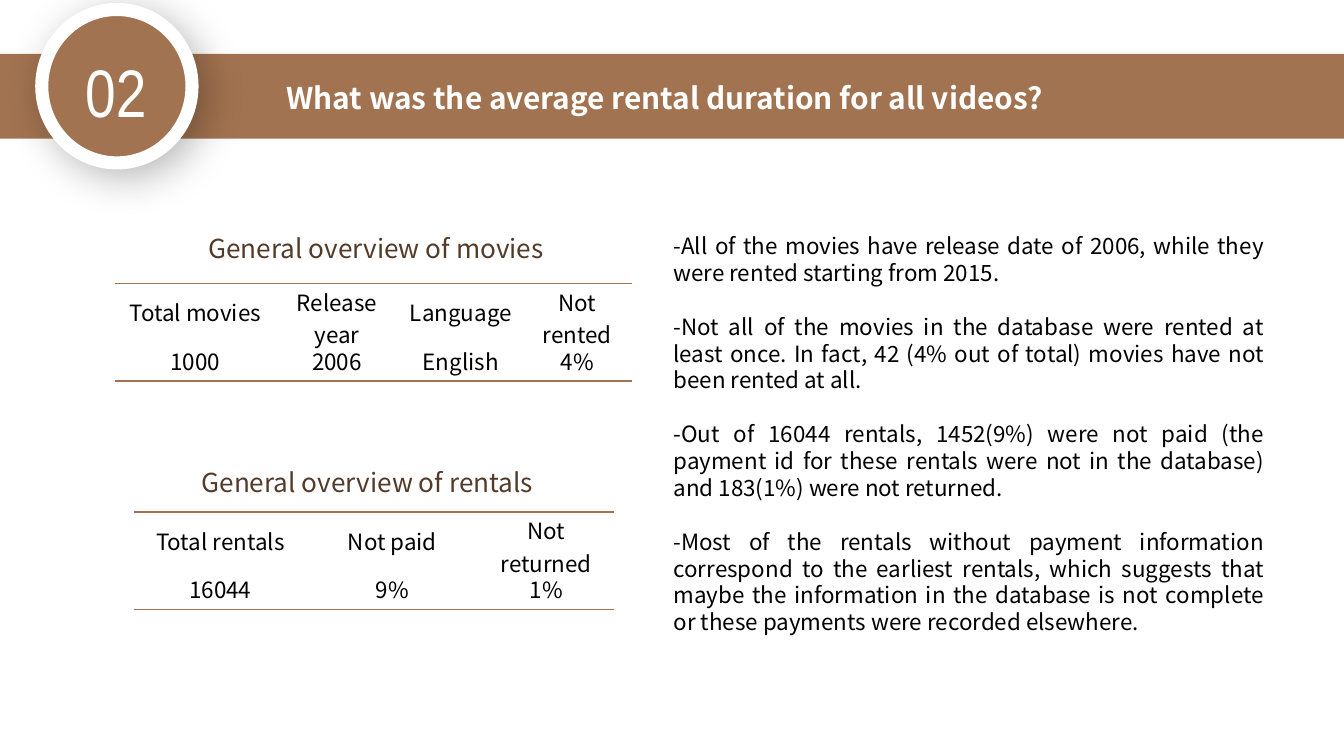
"""Build the slide on average rental duration with two overview tables and findings."""
from lxml import etree
from pptx import Presentation, util as u
from pptx.dml.color import RGBColor
from pptx.enum import shapes, text
from pptx.oxml import parse_xml
from pptx.oxml.ns import nsdecls, qn

BROWN = RGBColor(0xA2, 0x73, 0x50)
DARK_BROWN = RGBColor(0x54, 0x3B, 0x29)
WHITE = RGBColor(0xFF, 0xFF, 0xFF)
BLACK = RGBColor(0, 0, 0)
SANS = "Noto Sans CJK SC"
NO_GRID_STYLE = "{2D5ABB26-0587-4C30-8999-92F81FD0307C}"


def write(frame, *paragraphs, size=12, color=BLACK, font=SANS, bold=False,
          align=text.PP_ALIGN.CENTER, spacing=None, gap=0):
    frame.word_wrap = True
    for i, words in enumerate(paragraphs):
        paragraph = frame.paragraphs[0] if i == 0 else frame.add_paragraph()
        paragraph.alignment = align
        paragraph.line_spacing = spacing
        paragraph.space_before = u.Pt(gap if i else 0)
        run = paragraph.add_run()
        run.text = words
        run.font.size = u.Pt(size)
        run.font.bold = bold
        run.font.color.rgb = color
        run.font.name = font
        for script in ("a:ea", "a:cs"):
            etree.SubElement(run.font._element, qn(script), typeface=font)


def add_box(left, top, width, height, anchor=text.MSO_ANCHOR.MIDDLE):
    frame = slide.shapes.add_textbox(u.Cm(left), u.Cm(top), u.Cm(width), u.Cm(height)).text_frame
    frame.margin_left = frame.margin_right = u.Cm(0.18)
    frame.margin_top = frame.margin_bottom = u.Cm(0.1)
    frame.vertical_anchor = anchor
    return frame


deck = Presentation()
deck.slide_width, deck.slide_height = u.Cm(25.4), u.Cm(14.29)
slide = deck.slides.add_slide(deck.slide_layouts[5])

banner = slide.shapes.add_shape(shapes.MSO_SHAPE.RECTANGLE, 0, u.Cm(1.02), u.Cm(25.4), u.Cm(1.6))
banner.shadow.inherit = False
banner.fill.solid()
banner.fill.fore_color.rgb = BROWN
banner.line.fill.background()

question = slide.shapes.title
banner._element.addnext(question._element)
question.left, question.top = u.Cm(5.16), u.Cm(1.37)
question.width, question.height = u.Cm(18.69), u.Cm(0.94)
question.text_frame.vertical_anchor = text.MSO_ANCHOR.MIDDLE
question.text_frame.auto_size = text.MSO_AUTO_SIZE.NONE
write(question.text_frame, "What was the average rental duration for all videos?",
      size=16, color=WHITE, bold=True, align=text.PP_ALIGN.LEFT)

badge = slide.shapes.add_shape(shapes.MSO_SHAPE.OVAL, u.Cm(0.79), u.Cm(0.18), u.Cm(2.84), u.Cm(2.9))
badge.fill.solid()
badge.fill.fore_color.rgb = BROWN
badge.line.color.rgb = WHITE
badge.line.width = u.Pt(7)
badge._element.spPr.append(parse_xml(
    f'<a:effectLst {nsdecls("a")}><a:outerShdw blurRad="{u.Pt(22)}" dist="{u.Pt(6)}" '
    'dir="2700000" algn="tl" rotWithShape="0"><a:srgbClr val="000000">'
    '<a:alpha val="28000"/></a:srgbClr></a:outerShdw></a:effectLst>'))
write(add_box(1.3, 0.84, 1.78, 1.73), "02", size=36, color=WHITE, font="Arial Narrow")

overviews = [
    ("General overview of movies", 3.76, 4.29, 2.18, 5.36, [3.02, 2.34, 2.34, 2.06],
     [["Total movies", "Release year", "Language", "Not rented"],
      ["1000", "2006", "English", "4%"]]),
    ("General overview of rentals", 3.63, 8.71, 2.54, 9.68, [3.25, 3.25, 2.57],
     [["Total rentals", "Not paid", "Not returned"],
      ["16044", "9%", "1%"]]),
]
for heading, heading_left, heading_top, left, top, widths, rows in overviews:
    write(add_box(heading_left, heading_top, 6.86, 0.79), heading,
          size=14, color=DARK_BROWN, align=text.PP_ALIGN.JUSTIFY)
    overview = slide.shapes.add_table(len(rows), len(widths), u.Cm(left), u.Cm(top),
                                      u.Cm(sum(widths)), u.Cm(1.58)).table
    overview.first_row = overview.horz_banding = False
    overview._tbl.tblPr.find(qn("a:tableStyleId")).text = NO_GRID_STYLE
    for column, width in zip(overview.columns, widths):
        column.width = u.Cm(width)
    for r, values in enumerate(rows):
        for c, value in enumerate(values):
            cell = overview.cell(r, c)
            cell.vertical_anchor = text.MSO_ANCHOR.MIDDLE
            cell.margin_left = cell.margin_right = u.Cm(0.04)
            cell.margin_top, cell.margin_bottom = u.Cm(0.03), 0
            write(cell.text_frame, value)
            edge = "lnB" if r else "lnT"
            cell._tc.get_or_add_tcPr().append(parse_xml(
                f'<a:{edge} {nsdecls("a")} w="{u.Pt(1)}"><a:solidFill>'
                f'<a:srgbClr val="{BROWN}"/></a:solidFill></a:{edge}>'))
            cell.fill.background()

write(add_box(12.55, 4.29, 11.53, 7.37, anchor=text.MSO_ANCHOR.TOP),
      "-All of the movies have release date of 2006, while they were rented starting from 2015.",
      "-Not all of the movies in the database were rented at least once. In fact, 42 (4% out of "
      "total) movies have not been rented at all.",
      "-Out of 16044 rentals, 1452(9%) were not paid (the payment id for these rentals were not "
      "in the database) and 183(1%) were not returned.",
      "-Most of the rentals without payment information correspond to the earliest rentals, which "
      "suggests that maybe the information in the database is not complete or these payments were "
      "recorded elsewhere.",
      align=text.PP_ALIGN.JUSTIFY, spacing=u.Pt(14.4), gap=14.4)

deck.save("out.pptx")
